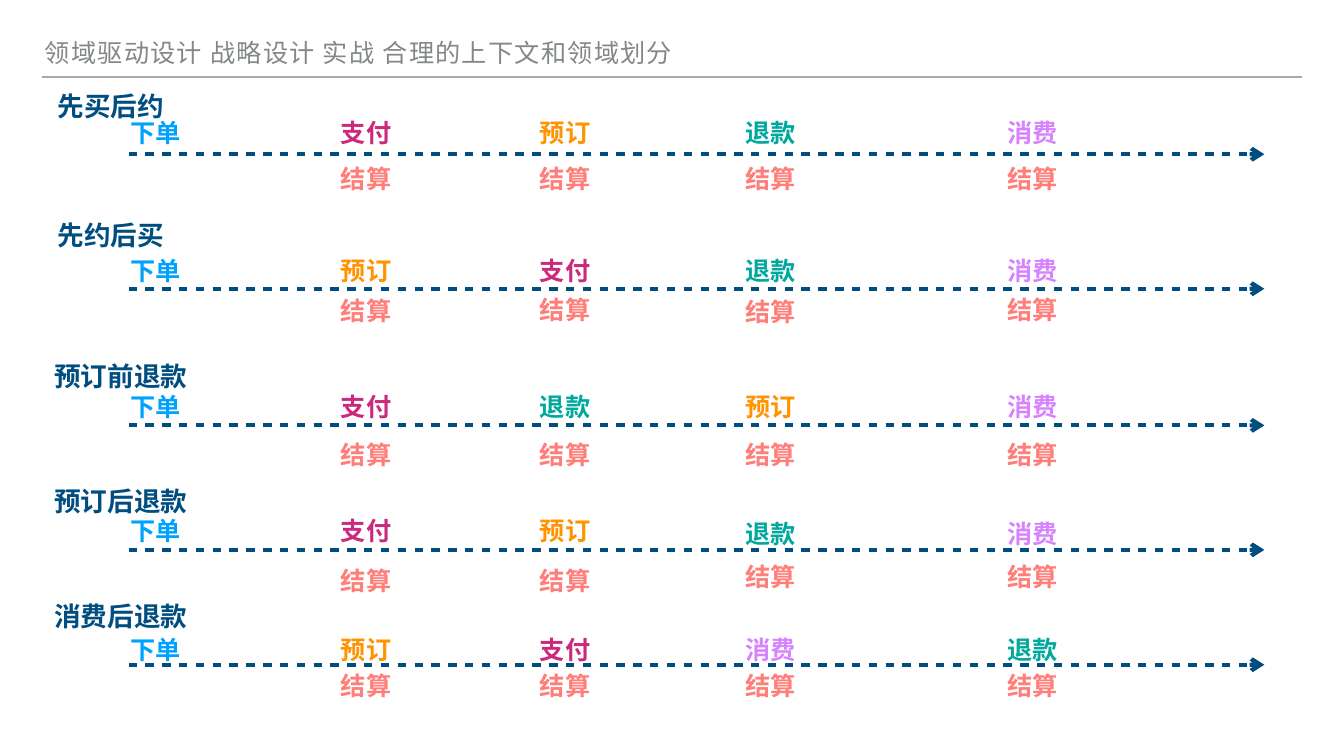
from lxml.etree import SubElement
from pptx import Presentation
from pptx.dml.color import RGBColor as Color
from pptx.enum.shapes import MSO_CONNECTOR as Connector
from pptx.enum.text import MSO_ANCHOR as Anchor, MSO_AUTO_SIZE as AutoSize, PP_ALIGN as Align
from pptx.oxml.ns import qn
from pptx.util import Inches, Pt

COLORS = {
    "下单": "00A2FF", "支付": "CB297B", "预订": "FF9300", "退款": "00A89D",
    "消费": "D783FF", "结算": "FF7E79", "navy": "004D80",
    "heading": "838787", "rule": "A6AAA9",
}
COLUMNS = [2.53, 6.7, 10.65, 14.72, 19.93]
EVENT_WIDTH, EVENT_HEIGHT = 1.13, 0.81
TITLE_HEIGHT = 0.85
AXIS_START, AXIS_END = 2.55, 25.09

SCENARIOS = [
    ("先买后约", 1.67, 3.06, "下单 支付 预订 退款 消费", [2.22] * 5, [3.13] * 4),
    ("先约后买", 4.24, 5.73, "下单 预订 支付 退款 消费", [4.96] * 5, [5.75, 5.74, 5.77, 5.74]),
    ("预订前退款", 7.04, 8.44, "下单 支付 退款 预订 消费", [7.66] * 5, [8.62] * 4),
    ("预订后退款", 9.51, 10.91, "下单 支付 预订 退款 消费",
     [10.11] * 3 + [10.18] * 2, [11.11] * 2 + [11.03] * 2),
    ("消费后退款", 11.8, 13.19, "下单 预订 支付 消费 退款", [12.48] * 5, [13.2] * 4),
]

deck = Presentation()
deck.slide_width, deck.slide_height = Inches(26.67), Inches(15)
slide = deck.slides.add_slide(deck.slide_layouts[6])


def add_label(text, left, top, width, height, size, color, font="Arial", heading=False):
    frame = slide.shapes.add_textbox(*map(Inches, (left, top, width, height))).text_frame
    frame.margin_left = frame.margin_right = Inches(0.06 if heading else 0.04)
    frame.margin_top = frame.margin_bottom = Inches(0.06)
    frame.word_wrap = heading
    frame.auto_size = AutoSize.SHAPE_TO_FIT_TEXT
    frame.vertical_anchor = Anchor.BOTTOM if heading else Anchor.MIDDLE
    paragraph = frame.paragraphs[0]
    paragraph.alignment = Align.LEFT if heading else Align.CENTER
    run = paragraph.add_run()
    run.text = text
    run.font.name, run.font.size, run.font.bold = font, Pt(size), not heading
    run.font.color.rgb = Color.from_string(COLORS[color])
    return paragraph, run


def add_rule(start, end, height, weight, color):
    rule = slide.shapes.add_connector(
        Connector.STRAIGHT, Inches(start), Inches(height), Inches(end), Inches(height))
    rule.line.width = Pt(weight)
    rule.line.color.rgb = Color.from_string(COLORS[color])
    SubElement(rule._element.spPr, qn("a:effectLst"))
    return rule.line._get_or_add_ln()


add_rule(0.83, 25.83, 1.53, 2, "rule")
heading, heading_run = add_label(
    "领域驱动设计 战略设计 实战 合理的上下文和领域划分",
    0.83, 0.58, 22.92, 0.81, 36, "heading", "Lato", heading=True)
heading.line_spacing = 0.8
heading_run.font._element.set("spc", "180")

for title, title_top, axis_height, events, event_tops, settlement_tops in SCENARIOS:
    axis = add_rule(AXIS_START, AXIS_END, axis_height, 6, "navy")
    dashes = SubElement(axis, qn("a:custDash"))
    SubElement(dashes, qn("a:ds"), d="200000", sp="200000")
    SubElement(axis, qn("a:tailEnd"), type="arrow")

    title_left, title_width = (1.07, 2.26) if len(title) == 4 else (1.0, 2.8)
    add_label(title, title_left, title_top, title_width, TITLE_HEIGHT, 38, "navy")

    for event, left, top in zip(events.split(), COLUMNS, event_tops):
        add_label(event, left, top, EVENT_WIDTH, EVENT_HEIGHT, 36, event)
    for left, top in zip(COLUMNS[1:], settlement_tops):
        add_label("结算", left, top, EVENT_WIDTH, EVENT_HEIGHT, 36, "结算")

deck.save("out.pptx")
